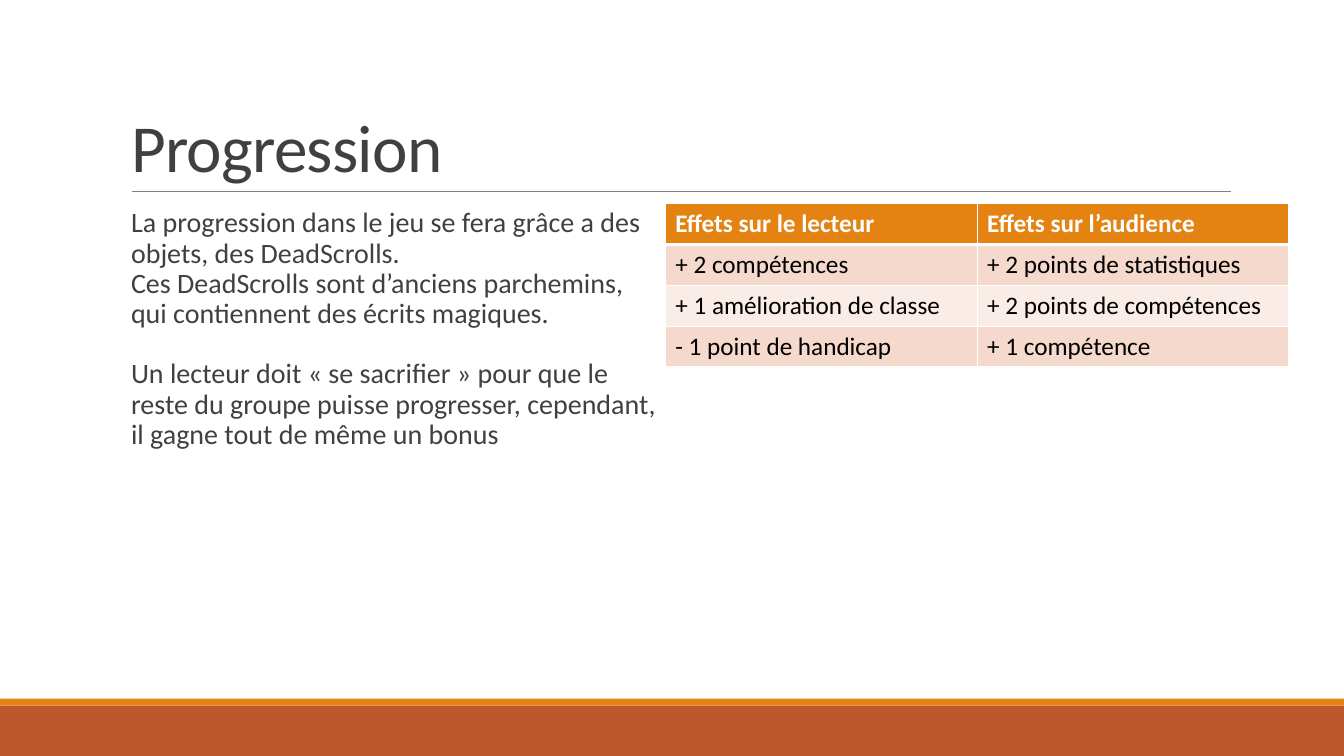
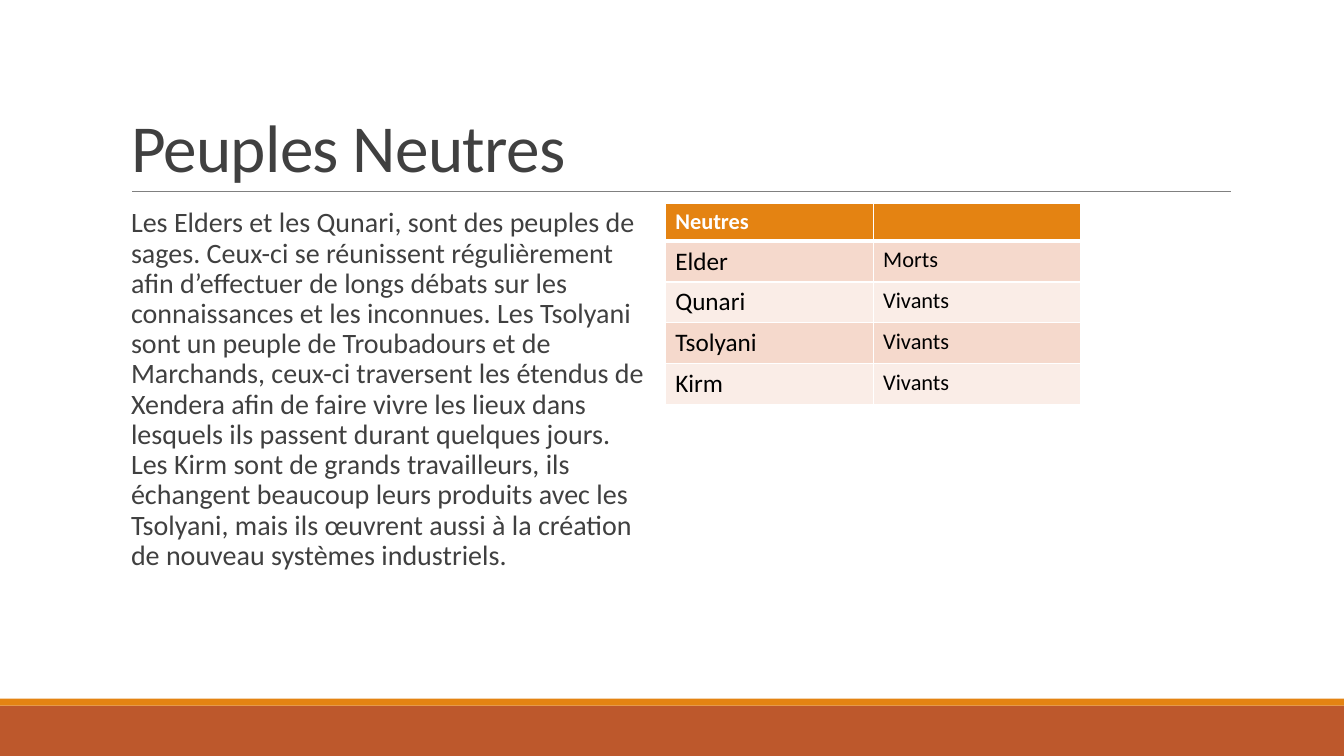
"""Build two slides, each with a title, a text column and a table."""
from lxml import etree
from pptx import Presentation
from pptx.dml.color import RGBColor
from pptx.enum.shapes import MSO_CONNECTOR, MSO_SHAPE
from pptx.enum.text import MSO_ANCHOR, MSO_AUTO_SIZE, PP_ALIGN
from pptx.oxml.ns import qn
from pptx.util import Pt

RECT, STRAIGHT = MSO_SHAPE.RECTANGLE, MSO_CONNECTOR.STRAIGHT
TOP, BOTTOM = MSO_ANCHOR.TOP, MSO_ANCHOR.BOTTOM
LEFT, NO_FIT = PP_ALIGN.LEFT, MSO_AUTO_SIZE.NONE

WHITE = RGBColor(0xFF, 0xFF, 0xFF)
BLACK = RGBColor(0, 0, 0)
DARK = RGBColor(0x40, 0x40, 0x40)
GRAY = RGBColor(0x80, 0x80, 0x80)
ORANGE = RGBColor(0xE4, 0x83, 0x12)
RUST = RGBColor(0xBD, 0x58, 0x2C)
STRIPES = (RGBColor(0xF5, 0xD9, 0xCC), RGBColor(0xFA, 0xED, 0xE7))

FONT = "Calibri"
WIDTH, HEIGHT = 960, 540
BAND_TOP, STRIP_TOP = 504, 499
TITLE_BOX = (86.4, 22.6, 792, 114.2)
BODY_BOX = (86.4, 145.4, 383.8, 316.8)
RULE = (94.4, 136.8, 879, 136.8)
TABLE_LEFT, TABLE_TOP = 475.2, 145.4
ROW_HEIGHT = 29.2
BLANK_LINE = 21.6

SLIDES = [
    {
        "title": "Progression",
        "body": [
            ("La progression dans le jeu se fera grâce a des objets, des DeadScrolls.", 0),
            ("Ces DeadScrolls sont d’anciens parchemins, qui contiennent des écrits "
             "magiques.", 0),
            ("Un lecteur doit « se sacrifier » pour que le reste du groupe puisse "
             "progresser, cependant, il gagne tout de même un bonus", BLANK_LINE),
        ],
        "table": [
            ("Effets sur le lecteur", "Effets sur l’audience"),
            ("+ 2 compétences", "+ 2 points de statistiques"),
            ("+ 1 amélioration de classe", "+ 2 points de compétences"),
            ("- 1 point de handicap", "+ 1 compétence"),
        ],
        "col_width": 222.8, "header_height": ROW_HEIGHT,
        "header_size": 18, "col_sizes": (18, 18),
    },
    {
        "title": "Peuples Neutres",
        "body": [
            ("Les Elders et les Qunari, sont des peuples de sages. Ceux-ci se réunissent "
             "régulièrement afin d’effectuer de longs débats sur les connaissances et les "
             "inconnues. Les Tsolyani sont un peuple de Troubadours et de Marchands, "
             "ceux-ci traversent les étendus de Xendera afin de faire vivre les lieux dans "
             "lesquels ils passent durant quelques jours.", 0),
            ("Les Kirm sont de grands travailleurs, ils échangent beaucoup leurs produits "
             "avec les Tsolyani, mais ils œuvrent aussi à la création de nouveau systèmes "
             "industriels.", 0),
        ],
        "table": [
            ("Neutres", ""),
            ("Elder", "Morts"),
            ("Qunari", "Vivants"),
            ("Tsolyani", "Vivants"),
            ("Kirm", "Vivants"),
        ],
        "col_width": 148.5, "header_height": 26.4,
        "header_size": 16, "col_sizes": (18, 16),
    },
]


def add_run(p, text, size, color, bold=False):
    r = p.add_run()
    r.text = text
    r.font.name, r.font.size, r.font.bold = FONT, Pt(size), bold
    r.font.color.rgb = color
    return r


def place(sp, box):
    sp.left, sp.top, sp.width, sp.height = map(Pt, box)


def style_layout(layout, s):
    """Move the placeholders and put the shared band, strip and rule on the layout."""
    for sp, box in zip(layout.placeholders, (TITLE_BOX, BODY_BOX)):
        place(sp, box)
    tree = layout.shapes.element
    for top, bottom, color in ((BAND_TOP, HEIGHT, RUST), (STRIP_TOP, BAND_TOP, ORANGE)):
        sp = s.shapes.add_shape(RECT, 0, Pt(top), Pt(WIDTH), Pt(bottom - top))
        sp.shadow.inherit = False
        sp.fill.solid()
        sp.fill.fore_color.rgb = color
        sp.line.fill.background()
        tree.append(sp.element)
    rule = s.shapes.add_connector(STRAIGHT, *map(Pt, RULE))
    rule.line.color.rgb, rule.line.width = GRAY, Pt(0.5)
    etree.SubElement(rule.element.spPr, qn("a:effectLst"))
    tree.append(rule.element)


def fill_title(sp, text):
    tf = sp.text_frame
    tf.auto_size, tf.vertical_anchor = NO_FIT, BOTTOM
    p = tf.paragraphs[0]
    p.alignment, p.line_spacing = LEFT, 0.85
    r = add_run(p, text, 48, DARK)
    r.font._element.set("spc", "-50")


def fill_body(sp, paragraphs):
    tf = sp.text_frame
    tf.auto_size, tf.vertical_anchor = NO_FIT, TOP
    tf.margin_left = tf.margin_right = 0
    for i, (text, before) in enumerate(paragraphs):
        p = tf.add_paragraph() if i else tf.paragraphs[0]
        pPr = p._p.get_or_add_pPr()
        pPr.set("marL", str(Pt(7.2)))
        pPr.set("indent", "0")
        etree.SubElement(pPr, qn("a:buNone"))
        p.line_spacing = 0.9
        p.space_before, p.space_after = Pt(before), Pt(0)
        add_run(p, text, 20, DARK)


def add_borders(cell, top, bottom):
    tcPr = cell._tc.get_or_add_tcPr()
    for side, width in (("L", 1), ("R", 1), ("T", top), ("B", bottom)):
        ln = etree.SubElement(tcPr, qn(f"a:ln{side}"), w=str(Pt(width)))
        fill = etree.SubElement(ln, qn("a:solidFill"))
        etree.SubElement(fill, qn("a:srgbClr"), val=str(WHITE))


def add_table(s, data):
    rows = data["table"]
    heights = [data["header_height"]] + [ROW_HEIGHT] * (len(rows) - 1)
    cols = len(rows[0])
    table = s.shapes.add_table(len(rows), cols, Pt(TABLE_LEFT), Pt(TABLE_TOP),
                               Pt(cols * data["col_width"]), Pt(sum(heights))).table
    for col in table.columns:
        col.width = Pt(data["col_width"])
    for i, (row, height) in enumerate(zip(rows, heights)):
        table.rows[i].height = Pt(height)
        header = i == 0
        for j, text in enumerate(row):
            cell = table.cell(i, j)
            add_borders(cell, 3 if i == 1 else 1, 3 if header else 1)
            cell.fill.solid()
            cell.fill.fore_color.rgb = ORANGE if header else STRIPES[(i - 1) % 2]
            size = data["header_size"] if header else data["col_sizes"][j]
            p = cell.text_frame.paragraphs[0]
            if text:
                add_run(p, text, size, WHITE if header else BLACK, header)
            else:
                etree.SubElement(p._p, qn("a:endParaRPr"), sz=str(size * 100))


def main():
    prs = Presentation()
    prs.slide_width, prs.slide_height = Pt(WIDTH), Pt(HEIGHT)
    layout = prs.slide_layouts[1]
    for i, data in enumerate(SLIDES):
        s = prs.slides.add_slide(layout)
        if i == 0:
            style_layout(layout, s)
        fill_title(s.shapes.title, data["title"])
        fill_body(s.placeholders[1], data["body"])
        add_table(s, data)
    prs.save("out.pptx")


if __name__ == "__main__":
    main()
